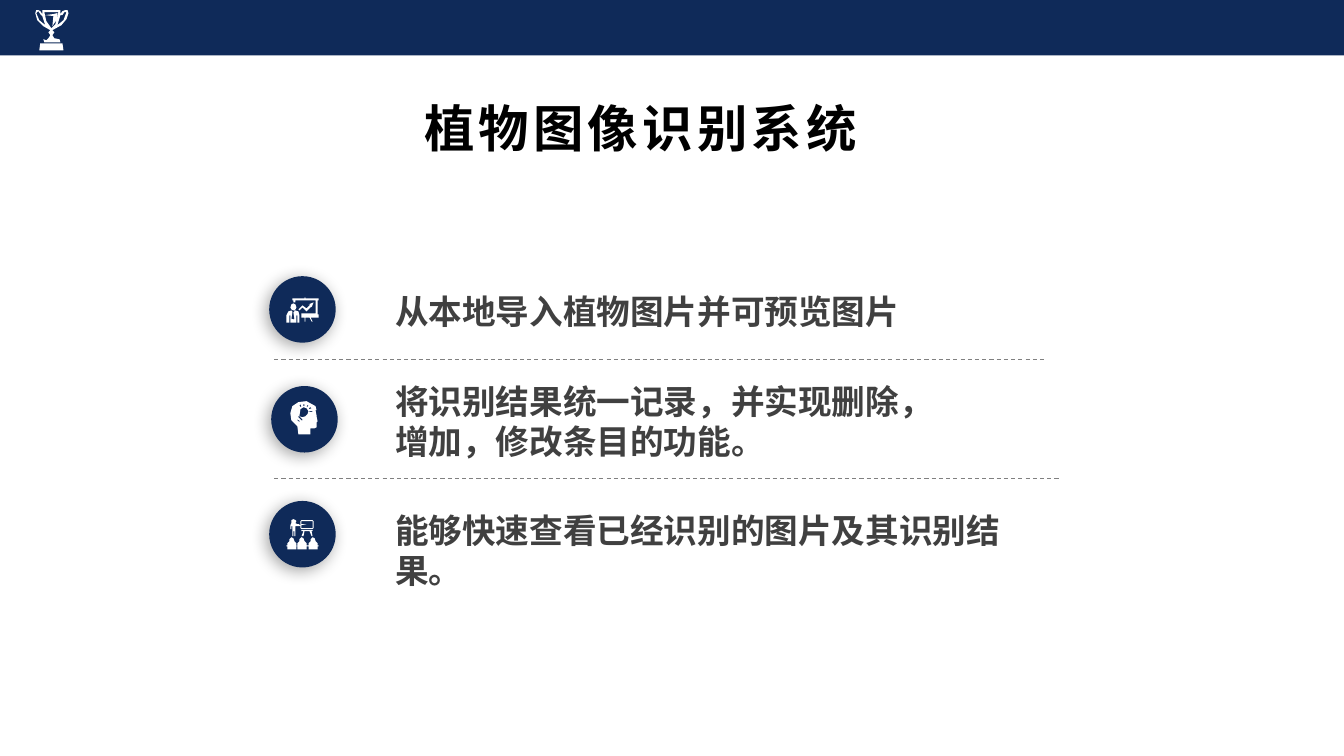
from lxml import etree
from pptx import Presentation
from pptx.dml.color import RGBColor
from pptx.enum import dml, shapes, text
from pptx.oxml.ns import qn
from pptx.util import Inches, Pt

FONT = "Noto Sans CJK SC"
COLORS = {"navy": "0F2A59", "white": "FFFFFF", "body": "404040",
          "title": "000000", "rule": "808080", "shadow": "000000"}
TITLE = "植物图像识别系统"

TROPHY = [
    "1,4 2,1 4,1 6,2 8,5 8,1 26,1 26,5 28,2 31,1 33,1 34,4 32,10 27,16 18,21 20,23 "
    "18,26 20,29 25,30 26,33 10,33 9,30 12,31 14,29 16,26 14,23 16,21 9,17 3,11",
    "2,4 5,11 11,16 8,7 6,5 4,2",
    "28,6 26,6 23,16 29,11 32,3 30,3",
    "10,3 12,12 17,19 21,15 24,3",
    "19,5 11,6 19,7 18,17 22,11 23,4",
    "6,34 28,34 29,41 5,41",
]
PRESENTER = [
    "16,8 12,12 13,13 16,10 20,14 25,9 25,10 27,5 22,7 24,7 20,11",
    "32,3 32,1 19,1 19,0 18,0 18,1 6,1 6,3 7,3 7,5 9,5 9,3 29,3 29,16 15,16 15,20 "
    "18,20 18,24 19,24 19,20 23,20 25,24 26,24 24,20 32,20 32,17 31,17 31,3",
    "7,13 9,12 10,10 9,7 7,6 5,7 4,10 5,12",
    "9,13 8,13 8,14 7,15 8,21 7,22 5,21 6,15 6,14 5,13 2,14 0,18 0,25 3,25 3,18 4,18 "
    "4,25 10,25 10,18 11,18 11,25 13,25 13,18 12,14",
]
IDEA_HEAD = [
    "11,19 11,20 12,21 14,21",
    "20,8 17,7 14,9 13,16 16,17 19,16 21,14 22,11",
    "16,19 13,16 12,16 12,17 15,20 16,20",
    "21,7 22,5 21,5 20,6",
    "23,9 25,8 24,7 22,8",
    "18,6 18,4 17,4 17,6",
    "15,6 14,4 13,5 14,7",
    "23,12 26,12 26,11 23,11",
    "12,34 11,26 5,20 4,13 6,6 12,2 20,1 29,6 30,10 29,10 30,15 30,16 31,21 30,22 "
    "30,27 28,28 24,28 24,34",
]
LISTENER = ("3,22 3,20 5,18 7,19 8,22 10,24 10,26 11,26 11,27 10,27 10,30 1,30 1,27 "
            "0,27 0,26 1,26 1,24")
CLASSROOM = [
    "15,1 14,2 14,6 13,6 13,5 11,5 9,4 5,4 4,6 4,10 5,10 5,7 6,7 6,17 7,17 7,12 8,12 "
    "8,17 9,17 9,7 13,7 14,6 14,9 15,10 26,10 27,9 27,2 26,1",
    "15,2 26,2 26,9 15,9 15,6 20,5 15,5",
    "26,11 26,12 25,12 26,17 25,17 23,12 18,12 17,17 15,17 17,12 15,12 15,11",
    "7,0 9,1 10,2 9,4 7,4 5,4 5,2 5,1",
]

FEATURES = [
    {"text": "从本地导入植物图片并可预览图片", "box": (2.84, 5.24, 0.5),
     "disc": (2.67, 2.74), "icon": PRESENTER, "icon_top": 2.95},
    {"text": "将识别结果统一记录，并实现删除，增加，修改条目的功能。", "box": (3.73, 5.62, 0.91),
     "disc": (2.69, 3.83), "icon": IDEA_HEAD, "icon_top": 3.97},
    {"text": "能够快速查看已经识别的图片及其识别结果。", "box": (5.01, 6.34, 0.91),
     "disc": (2.67, 4.97), "icon": CLASSROOM, "icon_top": 5.15},
]
DIVIDERS = [(3.57, 10.35), (4.75, 10.5)]
TEXT_LEFT, ICON_LEFT, RULE_LEFT, DISC = 3.82, 2.84, 2.72, 0.66


def rgb(name):
    return RGBColor.from_string(COLORS[name])


def paint(sp, color):
    sp.shadow.inherit = False
    sp.fill.solid()
    sp.fill.fore_color.rgb = rgb(color)
    sp.line.fill.background()


def add_shadow(sp):
    effects = sp._element.spPr.find(qn("a:effectLst"))
    outer = etree.SubElement(effects, qn("a:outerShdw"), blurRad=str(Pt(12)),
                             dist=str(Pt(3)), dir=str(135 * 60000), algn="tr",
                             rotWithShape="0")
    color = etree.SubElement(outer, qn("a:srgbClr"), val=COLORS["shadow"])
    etree.SubElement(color, qn("a:alpha"), val="34000")


def add_icon(parent, contours, left, top):
    outlines = [[tuple(map(int, pt.split(","))) for pt in c.split()] for c in contours]
    builder = parent.build_freeform(*outlines[0][0], scale=Inches(0.01))
    for i, points in enumerate(outlines):
        if i:
            builder.move_to(*points[0])
        builder.add_line_segments(points[1:], close=True)
    paint(builder.convert_to_shape(Inches(left), Inches(top)), "white")


def add_text(slide, content, box, size, color, align=text.PP_ALIGN.LEFT, spacing=0):
    tf = slide.shapes.add_textbox(*map(Inches, box)).text_frame
    tf.word_wrap = True
    tf.auto_size = text.MSO_AUTO_SIZE.SHAPE_TO_FIT_TEXT
    p = tf.paragraphs[0]
    p.text = content
    p.alignment = align
    p.font.name, p.font.size, p.font.bold = FONT, Pt(size), True
    p.font.color.rgb = rgb(color)
    props = p._p.pPr.find(qn("a:defRPr"))
    etree.SubElement(props, qn("a:ea"), typeface=FONT)
    if spacing:
        props.set("spc", str(spacing * 100))


def main():
    prs = Presentation()
    prs.slide_width, prs.slide_height = Inches(13.33), Inches(7.5)
    slide = prs.slides.add_slide(prs.slide_layouts[6])

    band = slide.shapes.add_shape(shapes.MSO_SHAPE.RECTANGLE, 0, 0,
                                  prs.slide_width, Inches(0.55))
    paint(band, "navy")
    add_icon(slide.shapes, TROPHY, 0.34, 0.09)
    add_text(slide, TITLE, (3.02, 0.91, 6.67, 0.71), 36, "title",
             text.PP_ALIGN.CENTER, spacing=3)

    for y, right in DIVIDERS:
        rule = slide.shapes.add_connector(shapes.MSO_CONNECTOR.STRAIGHT, Inches(RULE_LEFT),
                                          Inches(y), Inches(right), Inches(y))
        rule.line.color.rgb = rgb("rule")
        rule.line.width = Pt(0.75)
        rule.line.dash_style = dml.MSO_LINE.DASH
        etree.SubElement(rule._element.spPr, qn("a:effectLst"))

    for dx in (0, 10, 21):
        points = [pt.split(",") for pt in LISTENER.split()]
        CLASSROOM.append(" ".join(f"{int(x) + dx},{y}" for x, y in points))

    for feature in FEATURES:
        badge = slide.shapes.add_group_shape().shapes
        left, top = feature["disc"]
        disc = badge.add_shape(shapes.MSO_SHAPE.OVAL, Inches(left), Inches(top),
                               Inches(DISC), Inches(DISC))
        paint(disc, "navy")
        add_shadow(disc)
        add_icon(badge, feature["icon"], ICON_LEFT, feature["icon_top"])
        top, width, height = feature["box"]
        add_text(slide, feature["text"], (TEXT_LEFT, top, width, height), 24, "body")

    prs.save("out.pptx")


if __name__ == "__main__":
    main()
